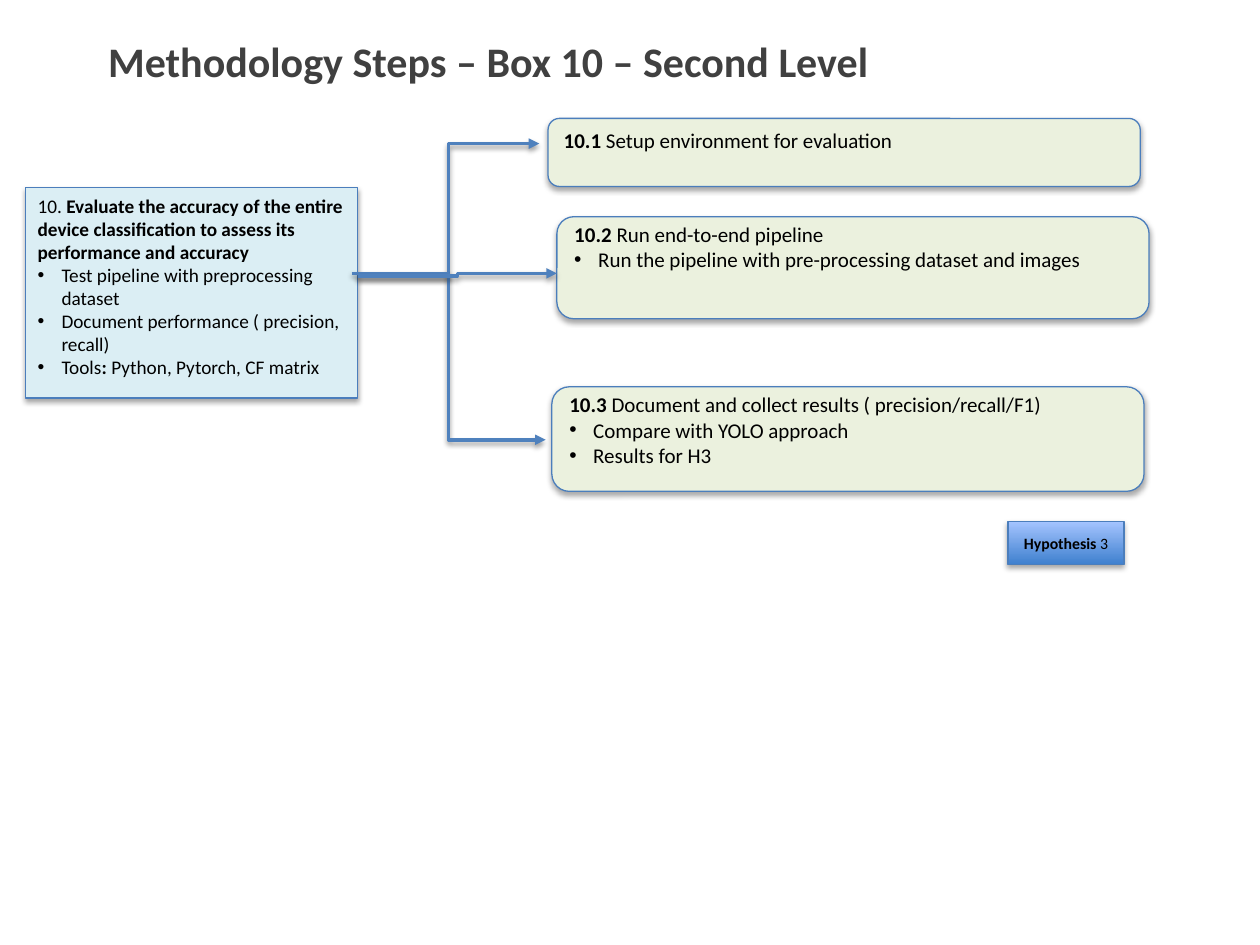
from lxml import etree
from pptx import Presentation
from pptx.dml.color import RGBColor
from pptx.enum.shapes import MSO_CONNECTOR, MSO_SHAPE
from pptx.enum.text import MSO_ANCHOR, PP_ALIGN
from pptx.oxml.ns import qn
from pptx.util import Inches, Pt

RECT, ROUNDED = MSO_SHAPE.RECTANGLE, MSO_SHAPE.ROUNDED_RECTANGLE
ELBOW = MSO_CONNECTOR.ELBOW
TOP, MIDDLE = MSO_ANCHOR.TOP, MSO_ANCHOR.MIDDLE
LEFT, CENTER = PP_ALIGN.LEFT, PP_ALIGN.CENTER

THEME = {
    "font": "Calibri",
    "text": "000000", "title": "404040",
    "source": "DBEEF4", "step": "EBF1DE",
    "hypothesis": ("3F80CE", "A4C4FF"),
    "border": "4B7EBC", "arrow": "4F81BD", "shadow": "000000",
    "title_size": 24, "step_size": 12, "source_size": 11, "hypothesis_size": 9,
}

TITLE = [[("Methodology Steps – Box 10 – Second Level", True)]]
SOURCE_HEAD = [
    ("10. ", False),
    ("Evaluate the accuracy of the entire device classification "
     "to assess its performance and accuracy", True),
]
SOURCE_BULLETS = [
    [("Test pipeline with preprocessing dataset", False)],
    [("Document performance ( precision, recall)", False)],
    [("Tools", False), (":", True), (" Python, Pytorch, CF matrix", False)],
]
STEPS = [
    {"at": (4.35, 0.94, 4.7, 0.54), "inset": 0.05,
     "head": [("10.1 ", True), ("Setup environment for evaluation", False)],
     "bullets": []},
    {"at": (4.42, 1.72, 4.7, 0.81), "inset": 0,
     "head": [("10.2 ", True), ("Run end-to-end pipeline", False)],
     "bullets": ["Run the pipeline with pre-processing dataset and images"]},
    {"at": (4.38, 3.07, 4.7, 0.83), "inset": 0,
     "head": [("10.3", True),
              (" Document and collect results ( precision/recall/F1)", False)],
     "bullets": ["Compare with YOLO approach", "Results for H3"]},
]
ARROWS = [
    (2.84, 2.19, 4.28, 1.14),
    (2.79, 2.17, 4.33, 3.49),
    (2.84, 2.19, 4.42, 2.17),
]
HYPOTHESIS = [[("Hypothesis", True), (" 3", False)]]


def rgb(name):
    return RGBColor.from_string(THEME[name])


def add_shadow(sp_pr, opacity):
    effects = sp_pr.find(qn("a:effectLst"))
    if effects is None:
        effects = etree.SubElement(sp_pr, qn("a:effectLst"))
    shadow = etree.SubElement(
        effects, qn("a:outerShdw"), blurRad=str(Pt(3.1)), dist=str(Pt(1.8)),
        dir="5400000", rotWithShape="0")
    color = etree.SubElement(shadow, qn("a:srgbClr"), val=THEME["shadow"])
    etree.SubElement(color, qn("a:alpha"), val=str(opacity * 1000))


def add_bullet(p):
    p_pr = p._p.get_or_add_pPr()
    p_pr.set("marL", str(Inches(0.19)))
    p_pr.set("indent", str(Inches(-0.19)))
    etree.SubElement(p_pr, qn("a:buFont"), typeface="Arial")
    etree.SubElement(p_pr, qn("a:buChar"), char="•")


def write(sp, heads, bullets, size, color="text", align=LEFT, anchor=TOP, inset=0.05):
    tf = sp.text_frame
    frame = {"word_wrap": True, "vertical_anchor": anchor,
             "margin_top": Inches(inset), "margin_bottom": Inches(inset)}
    for name, value in frame.items():
        setattr(tf, name, value)
    for i, runs in enumerate(heads + bullets):
        p = tf.add_paragraph() if i else tf.paragraphs[0]
        p.alignment = align
        if i >= len(heads):
            add_bullet(p)
        for text, bold in runs:
            r = p.add_run()
            r.text = text
            font = {"name": THEME["font"], "size": Pt(THEME[size]), "bold": bold}
            for name, value in font.items():
                setattr(r.font, name, value)
            r.font.color.rgb = rgb(color)


def add_box(s, kind, at, fill):
    sp = s.shapes.add_shape(kind, *map(Inches, at))
    if isinstance(THEME[fill], tuple):
        sp.fill.gradient()
        sp.fill.gradient_angle = 90
        for i, (stop, color) in enumerate(zip(sp.fill.gradient_stops, THEME[fill])):
            stop.position = i
            stop.color.rgb = RGBColor.from_string(color)
    else:
        sp.fill.solid()
        sp.fill.fore_color.rgb = rgb(fill)
    sp.line.color.rgb = rgb("border")
    sp.line.width = Pt(0.75)
    sp.shadow.inherit = False
    add_shadow(sp._element.spPr, 35)
    return sp


def add_arrow(s, ends):
    c = s.shapes.add_connector(ELBOW, *map(Inches, ends))
    c.line.color.rgb = rgb("arrow")
    c.line.width = Pt(2)
    sp_pr = c._element.spPr
    etree.SubElement(sp_pr.find(qn("a:ln")), qn("a:tailEnd"), type="triangle")
    add_shadow(sp_pr, 38)


def main():
    prs = Presentation()
    prs.slide_width, prs.slide_height = Inches(10), Inches(7.5)
    s = prs.slides.add_slide(prs.slide_layouts[6])

    title = s.shapes.add_textbox(*map(Inches, (0.76, 0.23, 8.48, 0.81)))
    write(title, TITLE, [], "title_size", color="title")

    source = add_box(s, RECT, (0.2, 1.49, 2.64, 1.67), "source")
    write(source, [SOURCE_HEAD], SOURCE_BULLETS, "source_size")

    for step in STEPS:
        sp = add_box(s, ROUNDED, step["at"], "step")
        bullets = [[(text, False)] for text in step["bullets"]]
        write(sp, [step["head"]], bullets, "step_size", inset=step["inset"])

    for ends in ARROWS:
        add_arrow(s, ends)

    hypothesis = add_box(s, RECT, (8, 4.14, 0.92, 0.34), "hypothesis")
    write(hypothesis, HYPOTHESIS, [], "hypothesis_size", align=CENTER, anchor=MIDDLE)

    prs.save("out.pptx")


if __name__ == "__main__":
    main()
